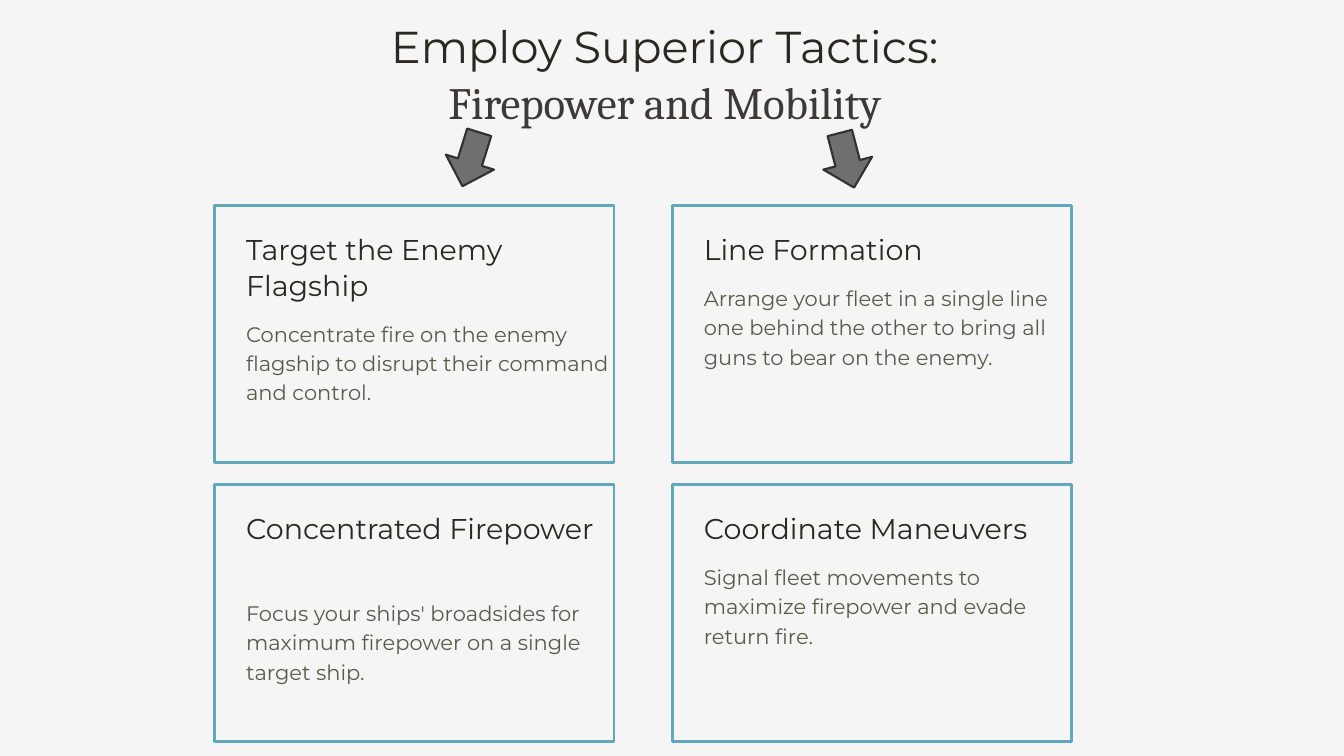
from dataclasses import dataclass

from pptx import Presentation
from pptx.dml.color import RGBColor as Rgb
from pptx.enum.shapes import MSO_SHAPE as Geo
from pptx.enum.text import PP_ALIGN as Align
from pptx.util import Inches, Pt


@dataclass(frozen=True)
class Style:
    font: str
    size: float
    color: str
    lead: float
    before: float = 0


class Theme:
    back = "F5F5F5"
    frame = "62A8BB"
    arrow = "6F6F6F"
    edge = "313131"
    title = Style("Montserrat", 31.9, "2A2921", 40.2)
    sub = Style("Cambria", 32, "3C3936", 40.2)
    head = Style("Montserrat", 20.4, "2A2921", 25.7)
    body = Style("Montserrat", 15, "5A5A4C", 21, 11.3)


WIDTH, HEIGHT = 13.33, 7.5
LEFT, TOP = 2.13, 2.04
CARD_W, CARD_H = 3.96, 2.55
COL, ROW = 4.54, 2.77
PAD_X, PAD_Y = 0.31, 0.24
TEXT_W, LINE_H, GAP = 3.78, 0.355, 0.155

# column, row, heading lines reserved, heading, body
CARDS = [
    (0, 0, 2, "Target the Enemy Flagship",
     "Concentrate fire on the enemy flagship to disrupt their command and control."),
    (1, 0, 1, "Line Formation",
     "Arrange your fleet in a single line one behind the other "
     "to bring all guns to bear on the enemy."),
    (0, 1, 2, "Concentrated Firepower",
     "Focus your ships' broadsides for maximum firepower on a single target ship."),
    (1, 1, 1, "Coordinate Maneuvers",
     "Signal fleet movements to maximize firepower and evade return fire."),
]
ARROWS = [(4.39, 1.33, 287.3), (8.12, 1.34, 255.4)]


def add_text(shapes, box, lines, align=Align.LEFT):
    """Add a text box without insets; lines holds (text, style) pairs."""
    frame = shapes.add_textbox(*map(Inches, box)).text_frame
    frame.word_wrap = True
    frame.margin_left = frame.margin_right = 0
    frame.margin_top = frame.margin_bottom = 0
    frame.text = "\n".join(text for text, _ in lines)
    for para, (_, style) in zip(frame.paragraphs, lines):
        para.alignment = align
        para.line_spacing = Pt(style.lead)
        para.space_before = Pt(style.before)
        font = para.runs[0].font
        font.name, font.size = style.font, Pt(style.size)
        font.color.rgb = Rgb.from_string(style.color)


def add_shape(shapes, kind, box, line, weight, fill=None):
    shape = shapes.add_shape(kind, *map(Inches, box))
    shape.shadow.inherit = False
    if fill:
        shape.fill.solid()
        shape.fill.fore_color.rgb = Rgb.from_string(fill)
    else:
        shape.fill.background()
    shape.line.color.rgb = Rgb.from_string(line)
    shape.line.width = Pt(weight)
    return shape


def add_card(slide, col, row, count, head, body):
    left, top = LEFT + col * COL, TOP + row * ROW
    shapes = slide.shapes.add_group_shape().shapes
    add_shape(shapes, Geo.RECTANGLE, (left, top, CARD_W, CARD_H), Theme.frame, 2)
    left, top, tall = left + PAD_X, top + PAD_Y, count * LINE_H
    add_text(shapes, (left, top, TEXT_W, tall), [(head, Theme.head)])
    add_text(shapes, (left, top + tall + GAP, TEXT_W, 0.87), [(body, Theme.body)])


def add_arrow(slide, left, top, turn):
    arrow = add_shape(slide.shapes, Geo.LEFT_ARROW, (left, top, 0.56, 0.5),
                      Theme.edge, 1.5, Theme.arrow)
    arrow.rotation = turn


def main():
    deck = Presentation()
    deck.slide_width, deck.slide_height = Inches(WIDTH), Inches(HEIGHT)
    slide = deck.slides.add_slide(deck.slide_layouts[6])
    slide.background.fill.solid()
    slide.background.fill.fore_color.rgb = Rgb.from_string(Theme.back)
    add_text(slide.shapes, (-0.07, 0.16, WIDTH, 0.56),
             [("Employ Superior Tactics:", Theme.title),
              ("Firepower and Mobility", Theme.sub)], Align.CENTER)
    for card in CARDS:
        add_card(slide, *card)
    for arrow in ARROWS:
        add_arrow(slide, *arrow)
    deck.save("out.pptx")


if __name__ == "__main__":
    main()
